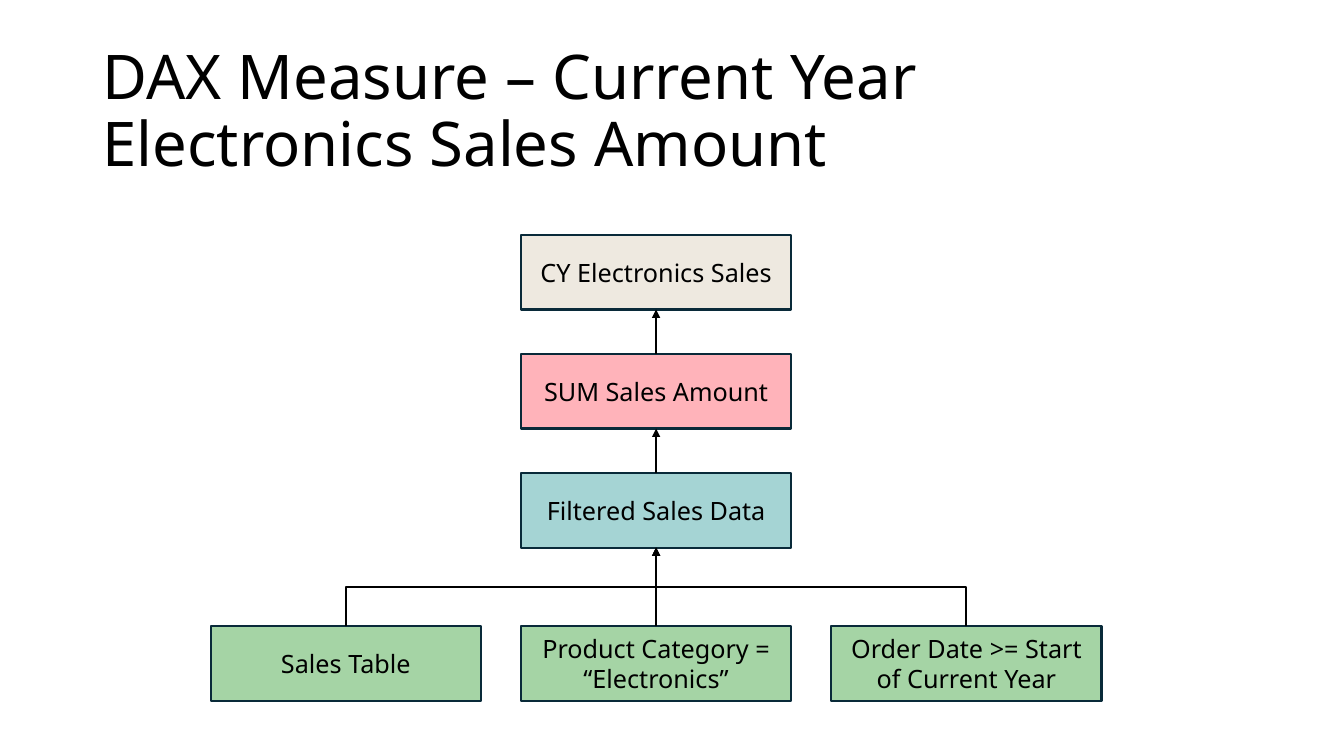
from dataclasses import dataclass

import pptx
import pptx.dml.color
import pptx.enum.shapes
import pptx.enum.text
import pptx.oxml.ns
import pptx.util
from lxml import etree

Cm = pptx.util.Cm
Pt = pptx.util.Pt
CONNECTOR = pptx.enum.shapes.MSO_CONNECTOR
TOP_SIDE, BOTTOM_SIDE = 0, 2


@dataclass(frozen=True)
class Theme:
    font: str = "Noto Sans"
    title_size: int = 44
    label_size: int = 18
    line_width: float = 1.5
    text: str = "000000"
    outline: str = "092A39"
    result: str = "EEE9E0"
    aggregate: str = "FFB3BA"
    filtered: str = "A5D4D4"
    source: str = "A5D4A5"


THEME = Theme()
STAGES = [
    ("CY Electronics Sales", THEME.result),
    ("SUM Sales Amount", THEME.aggregate),
    ("Filtered Sales Data", THEME.filtered),
]
SOURCES = [
    "Sales Table",
    "Product Category = “Electronics”",
    "Order Date >= Start of Current Year",
]


def rgb(value):
    return pptx.dml.color.RGBColor.from_string(value)


def write(frame, text, size, alignment):
    frame.word_wrap = True
    frame.auto_size = pptx.enum.text.MSO_AUTO_SIZE.NONE
    frame.vertical_anchor = pptx.enum.text.MSO_ANCHOR.MIDDLE
    para = frame.paragraphs[0]
    para.alignment = alignment
    span = para.add_run()
    span.text = text
    span.font.name = THEME.font
    span.font.size = Pt(size)
    span.font.color.rgb = rgb(THEME.text)
    return para


def add_title(page, text, left, top, width, height):
    title = page.shapes.title
    title.left, title.top, title.width, title.height = left, top, width, height
    para = write(title.text_frame, text, THEME.title_size,
                 pptx.enum.text.PP_ALIGN.LEFT)
    para.line_spacing = 0.9


def add_step(page, text, fill, left, top, width, height):
    box = page.shapes.add_shape(
        pptx.enum.shapes.MSO_SHAPE.RECTANGLE, left, top, width, height)
    box.shadow.inherit = False
    box.fill.solid()
    box.fill.fore_color.rgb = rgb(fill)
    box.line.color.rgb = rgb(THEME.outline)
    box.line.width = Pt(THEME.line_width)
    write(box.text_frame, text, THEME.label_size,
          pptx.enum.text.PP_ALIGN.CENTER)
    return box


def turn_upward(elbow, leans_right):
    """Rotate an elbow so that it leaves and arrives vertically."""
    center_x = elbow.left + elbow.width // 2
    center_y = elbow.top + elbow.height // 2
    width, height = elbow.height, elbow.width
    elbow.left, elbow.top = center_x - width // 2, center_y - height // 2
    elbow.width, elbow.height = width, height
    frame = elbow._element.spPr.find(pptx.oxml.ns.qn("a:xfrm"))
    frame.set("rot", "5400000" if leans_right else "16200000")
    frame.set("flipH", "1" if leans_right else "0")
    frame.set("flipV", "1")


def add_arrow(page, lower, upper):
    """Point from the top of the lower box to the bottom of the upper one."""
    straight = lower.left == upper.left
    kind = CONNECTOR.STRAIGHT if straight else CONNECTOR.ELBOW
    arrow = page.shapes.add_connector(kind, 0, 0, 0, 0)
    arrow.begin_connect(lower, TOP_SIDE)
    arrow.end_connect(upper, BOTTOM_SIDE)
    if not straight:
        turn_upward(arrow, lower.left < upper.left)
    arrow.line.color.rgb = rgb(THEME.text)
    arrow.line.width = Pt(THEME.line_width)
    qn = pptx.oxml.ns.qn
    etree.SubElement(arrow.line._get_or_add_ln(), qn("a:tailEnd"),
                     type="triangle")
    etree.SubElement(arrow._element.spPr, qn("a:effectLst"))


def add_flow(page, left, top, width, height):
    """Stack the stages over a row of sources that fills the width."""
    box_width, box_height = Cm(6.81), Cm(1.88)
    stage_pitch = Cm(3)
    source_pitch = (width - box_width) // (len(SOURCES) - 1)
    stage_left = left + source_pitch
    source_top = top + height - box_height

    stages = [
        add_step(page, text, fill, stage_left, top + row * stage_pitch,
                 box_width, box_height)
        for row, (text, fill) in enumerate(STAGES)
    ]
    sources = [
        add_step(page, text, THEME.source, left + column * source_pitch,
                 source_top, box_width, box_height)
        for column, text in enumerate(SOURCES)
    ]
    for upper, lower in zip(stages, stages[1:]):
        add_arrow(page, lower, upper)
    for source in sources:
        add_arrow(page, source, stages[-1])


def main():
    deck = pptx.Presentation()
    deck.slide_width, deck.slide_height = Cm(33.87), Cm(19.05)
    page = deck.slides.add_slide(deck.slide_layouts.get_by_name("Title Only"))
    add_title(page, "DAX Measure – Current Year Electronics Sales Amount",
              Cm(2.33), Cm(1.01), Cm(29.21), Cm(3.68))
    add_flow(page, Cm(5.31), Cm(5.92), Cm(22.45), Cm(11.74))
    deck.save("out.pptx")


if __name__ == "__main__":
    main()
